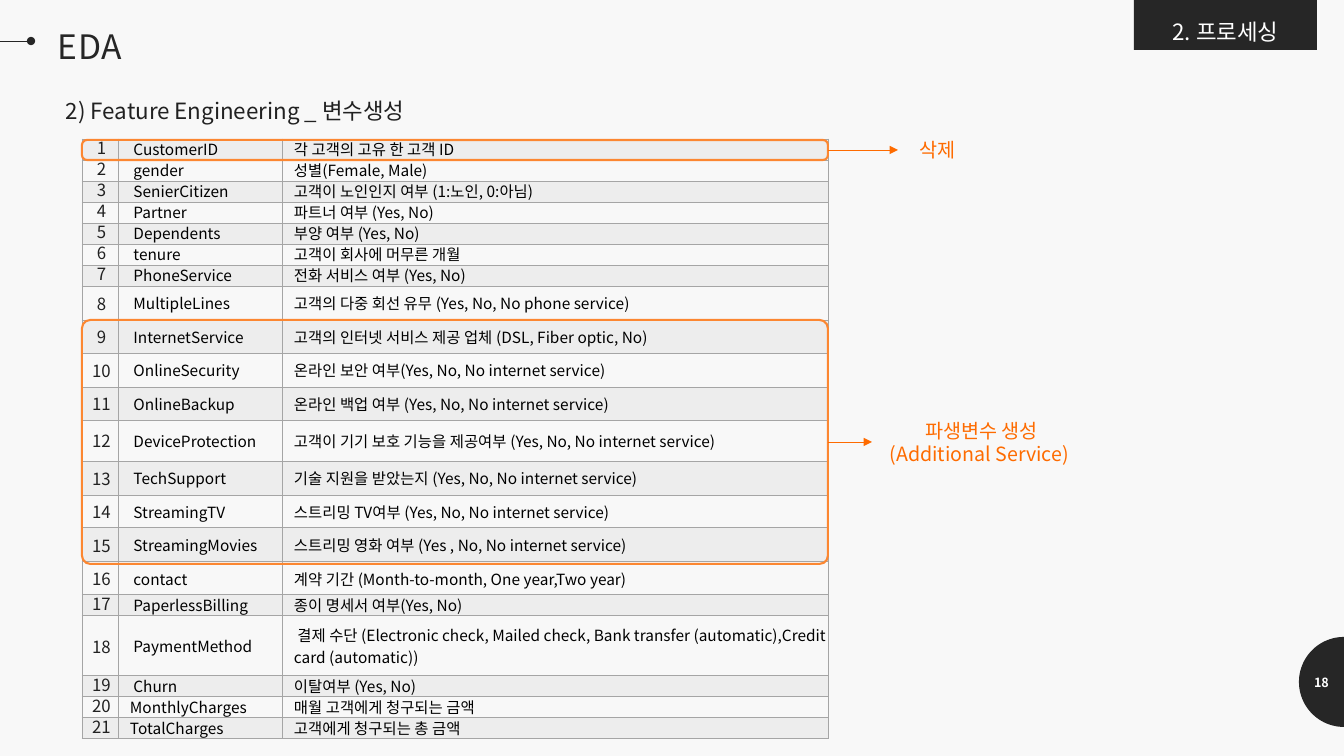
from math import cos, pi, sin
from lxml.etree import SubElement
from pptx import Presentation
from pptx.dml.color import RGBColor
from pptx.enum.shapes import MSO_CONNECTOR, MSO_SHAPE
from pptx.enum.text import MSO_ANCHOR as Anchor, MSO_AUTO_SIZE as AutoSize, PP_ALIGN as Align
from pptx.oxml import parse_xml
from pptx.oxml.ns import nsdecls, qn
from pptx.util import Pt

FONT = "Noto Sans CJK KR"
BACKGROUND = RGBColor(0xF8, 0xF8, 0xF8)
DARK = RGBColor(0x26, 0x26, 0x26)
TEXT = RGBColor(0x21, 0x21, 0x21)
BLACK = RGBColor(0, 0, 0)
WHITE = RGBColor(0xFF, 0xFF, 0xFF)
BAND = RGBColor(0xED, 0xED, 0xED)
ORANGE = RGBColor(0xFE, 0x6B, 0x00)
FRAME = RGBColor(0xFC, 0x87, 0x31)
GRID = "A5A5A5"

SHORT_ROW = 21
VARIABLES = [
    (21, " CustomerID", "각 고객의 고유 한 고객 ID"),
    (21, " gender", "성별(Female, Male)"),
    (21, " SenierCitizen", "고객이 노인인지 여부 (1:노인, 0:아님)"),
    (21, " Partner", "파트너 여부 (Yes, No)"),
    (21, " Dependents", "부양 여부 (Yes, No)"),
    (21, " tenure", "고객이 회사에 머무른 개월"),
    (21, " PhoneService", "전화 서비스 여부 (Yes, No)"),
    (34, " MultipleLines", "고객의 다중 회선 유무 (Yes, No, No phone service)"),
    (33, " InternetService", "고객의 인터넷 서비스 제공 업체 (DSL, Fiber optic, No)"),
    (34, " OnlineSecurity", "온라인 보안 여부(Yes, No, No internet service)"),
    (33, " OnlineBackup", "온라인 백업 여부 (Yes, No, No internet service)"),
    (41, " DeviceProtection", "고객이 기기 보호 기능을 제공여부 (Yes, No, No internet service)"),
    (34, " TechSupport", "기술 지원을 받았는지 (Yes, No, No internet service)"),
    (33, " StreamingTV", "스트리밍 TV여부 (Yes, No, No internet service)"),
    (34, " StreamingMovies", "스트리밍 영화 여부 (Yes , No, No internet service)"),
    (33, " contact", "계약 기간 (Month-to-month, One year,Two year)"),
    (21, " PaperlessBilling", "종이 명세서 여부(Yes, No)"),
    (60, " PaymentMethod", " 결제 수단 (Electronic check, Mailed check, Bank transfer "
                           "(automatic),Credit card (automatic))"),
    (21, " Churn", "이탈여부 (Yes, No)"),
    (21, "MonthlyCharges", "매월 고객에게 청구되는 금액"),
    (21, "TotalCharges", "고객에게 청구되는 총 금액"),
]
TABLE_LEFT, TABLE_TOP = 82, 139
COLUMNS = (36, 164, 546)
CELL_STYLES = [(12, TEXT, Align.CENTER, 3), (11, BLACK, Align.LEFT, 12), (11, BLACK, Align.LEFT, 12)]
CALLOUTS = [
    ("삭제", (140, 20), 0.248, 150, (898, 140, 80, 20)),
    (" 파생변수 생성 (Additional Service)", (320, 244), 0.034, 442, (872, 394, 215, 96)),
]


def px(length):
    return round(length * 914400 / 100.8)


def box(*lengths):
    return [px(length) for length in lengths]


def add_run(paragraph, text, size, color, bold=False):
    run = paragraph.add_run()
    run.text = text
    run.font.name = FONT
    run.font.size = Pt(size)
    run.font.color.rgb = color
    run.font.bold = bold
    SubElement(run.font._element, qn("a:ea")).set("typeface", FONT)
    return run


def write(shape, text, size, color, align=Align.LEFT, anchor=Anchor.TOP, insets=None, bold=False):
    frame = shape.text_frame
    frame.word_wrap = True
    frame.vertical_anchor = anchor
    if insets:
        frame.margin_left, frame.margin_top, frame.margin_right, frame.margin_bottom = box(*insets)
    paragraph = frame.paragraphs[0]
    paragraph.alignment = align
    return add_run(paragraph, text, size, color, bold)


def add_block(kind, place, fill=None, line=None, adjust=None):
    shape = slide.shapes.add_shape(kind, *box(*place))
    shape.shadow.inherit = False
    if adjust is not None:
        shape.adjustments[0] = adjust
    if fill is None:
        shape.fill.background()
    else:
        shape.fill.solid()
        shape.fill.fore_color.rgb = fill
    if line is None:
        shape.line.fill.background()
    else:
        shape.line.color.rgb = line
        shape.line.width = Pt(1.5)
    return shape


def add_line(start, end, y, color, tail):
    connector = slide.shapes.add_connector(MSO_CONNECTOR.STRAIGHT, *box(start, y, end, y))
    connector.line.color.rgb = color
    connector.line.width = Pt(0.5)
    SubElement(connector.line._get_or_add_ln(), qn("a:tailEnd")).set("type", tail)
    SubElement(connector._element.spPr, qn("a:effectLst"))


def add_page_number():
    center_x, center_y, radius, steps = 1344, 682, 45, 48
    angles = [pi / 2 + pi * step / steps for step in range(steps + 1)]
    points = [(px(center_x + radius * cos(a)), px(center_y + radius * sin(a))) for a in angles]
    builder = slide.shapes.build_freeform(*points[0], scale=1)
    builder.add_line_segments(points[1:], close=True)
    badge = builder.convert_to_shape()
    badge.shadow.inherit = False
    badge.fill.solid()
    badge.fill.fore_color.rgb = DARK
    badge.line.fill.background()
    number = slide.shapes.add_textbox(*box(1299, 662, 45, 40))
    write(number, "18", 9, WHITE, Align.CENTER, Anchor.MIDDLE, (12, 12, 12, 10), True)


def add_borders(cell):
    properties = cell._tc.get_or_add_tcPr()
    for index, side in enumerate(("lnL", "lnR", "lnT", "lnB")):
        properties.insert(index, parse_xml(
            f'<a:{side} {nsdecls("a")} w="6350"><a:solidFill><a:srgbClr val="{GRID}"/>'
            f'</a:solidFill></a:{side}>'))


def add_variable_table():
    heights = [height for height, _, _ in VARIABLES]
    place = box(TABLE_LEFT, TABLE_TOP, sum(COLUMNS), sum(heights))
    table = slide.shapes.add_table(len(VARIABLES), len(COLUMNS), *place).table
    table.first_row = table.horz_banding = False
    for column, width in zip(table.columns, COLUMNS):
        column.width = px(width)
    for index, (height, name, meaning) in enumerate(VARIABLES):
        table.rows[index].height = px(height)
        for column, text in enumerate((str(index + 1), name, meaning)):
            size, color, align, left = CELL_STYLES[column]
            cell = table.cell(index, column)
            cell.vertical_anchor = Anchor.MIDDLE
            cell.margin_left = px(left)
            cell.margin_top = cell.margin_right = cell.margin_bottom = 0
            if index % 2 == 0:
                cell.fill.solid()
                cell.fill.fore_color.rgb = BAND
            else:
                cell.fill.background()
            add_borders(cell)
            paragraph = cell.text_frame.paragraphs[0]
            paragraph.alignment = align
            if height == SHORT_ROW:
                paragraph.line_spacing = Pt(14.5)
            add_run(paragraph, text, size, color)


def add_callout(text, rows, adjust, arrow_y, place):
    top, height = rows
    width = sum(COLUMNS)
    add_block(MSO_SHAPE.ROUNDED_RECTANGLE, (TABLE_LEFT, top, width, height), line=FRAME, adjust=adjust)
    add_line(TABLE_LEFT + width, place[0], arrow_y, ORANGE, "triangle")
    label = add_block(MSO_SHAPE.ROUNDED_RECTANGLE, place, adjust=0.248)
    write(label, text, 14, ORANGE, Align.CENTER, Anchor.MIDDLE)


presentation = Presentation()
presentation.slide_width, presentation.slide_height = box(1344, 756)
slide = presentation.slides.add_slide(presentation.slide_layouts[6])
slide.background.fill.solid()
slide.background.fill.fore_color.rgb = BACKGROUND

add_page_number()
add_line(0, 31, 41, DARK, "oval")
title = slide.shapes.add_textbox(*box(46, 10, 421, 62))
title_run = write(title, "EDA", 24, DARK, insets=(12, 12, 12, 10))
title_run.font._element.set("spc", "40")
title.text_frame.paragraphs[0].line_spacing = 1.1
section = add_block(MSO_SHAPE.RECTANGLE, (1134, 0, 183, 50), fill=DARK)
write(section, "2. 프로세싱", 16, WHITE, Align.CENTER, Anchor.BOTTOM)
subtitle = slide.shapes.add_textbox(*box(56, 92, 672, 37))
write(subtitle, "2) Feature Engineering _ 변수생성", 16, TEXT)
subtitle.text_frame.auto_size = AutoSize.SHAPE_TO_FIT_TEXT
add_variable_table()
for callout in CALLOUTS:
    add_callout(*callout)

presentation.save("out.pptx")
